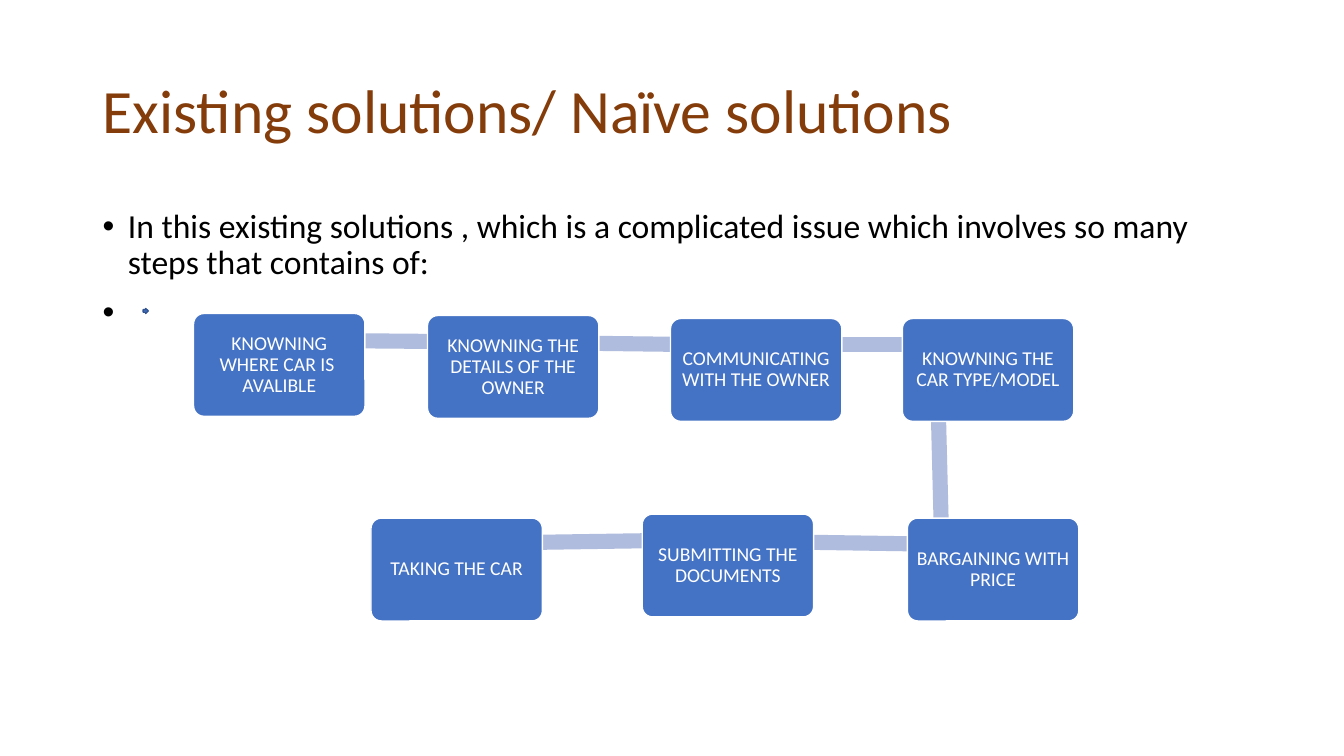
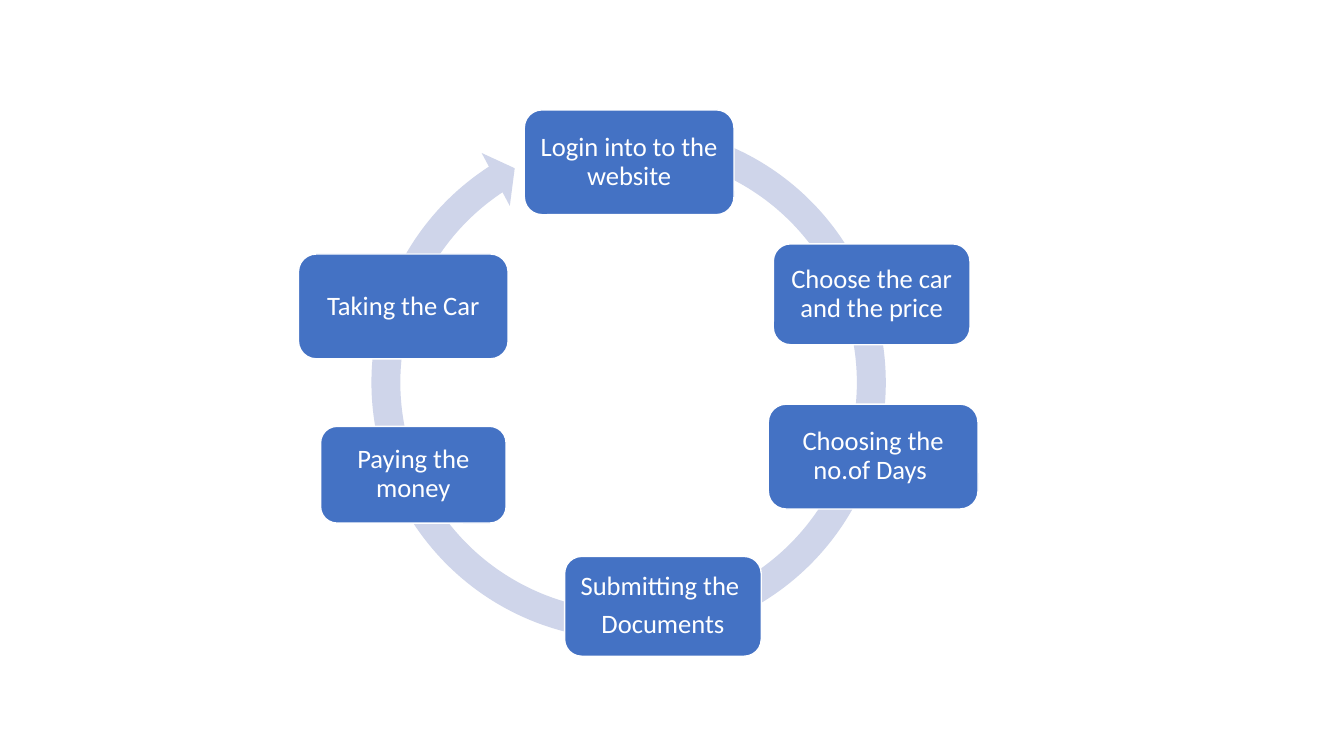
import lxml.etree
import pptx
import pptx.dml.color
import pptx.enum.shapes
import pptx.enum.text
import pptx.oxml.ns
import pptx.util

Inches = pptx.util.Inches
Pt = pptx.util.Pt
SHAPE = pptx.enum.shapes.MSO_SHAPE
ANCHOR = pptx.enum.text.MSO_ANCHOR
ALIGN = pptx.enum.text.PP_ALIGN

COLORS = {
    "title": "843C0B",
    "body": "000000",
    "step": "4472C4",
    "white": "FFFFFF",
    "link": "B0BCDE",
    "ring": "CFD5EA",
    "marker_line": "325491",
}
FONT = "Calibri"

TITLE_BOX = (0.92, 0.4, 11.5, 1.45)
BODY_BOX = (0.92, 2.03, 11.5, 4.76)
MARKER_BOX = (1.42, 3.06, 0.05, 0.05)
FLOW_BOX = (1.92, 3.11, 8.78, 3.05)
CYCLE_BOX = (2.96, 1.09, 6.74, 5.42)

BULLETS = [
    "In this existing solutions , which is a complicated issue which involves so many steps that contains of:",
    " ",
]
FLOW_STEP_SIZE = (1.7, 1.02)
FLOW_ANCHOR = (0.34, 0.26)
FLOW_STEPS = [
    ("KNOWNING WHERE CAR IS  AVALIBLE", 0, 0),
    ("KNOWNING THE DETAILS OF THE OWNER", 2.32, 0.02),
    ("COMMUNICATING WITH THE OWNER", 4.73, 0.05),
    ("KNOWNING THE CAR TYPE/MODEL", 7.03, 0.05),
    ("BARGAINING WITH PRICE", 7.08, 2.03),
    ("SUBMITTING THE DOCUMENTS", 4.45, 1.99),
    ("TAKING THE CAR", 1.76, 2.03),
]
RING_OFFSET = 0.57
RING_SIZE = 5.41
RING_ADJUSTMENTS = (0.053, 3.126, 142.085, 171.385, 0.055)
CYCLE_STEPS = [
    (["Login into to the website"], 2.24, 0, 2.08, 1.04),
    (["Choose the car and the price"], 4.71, 1.33, 1.95, 1),
    (["Choosing the no.of Days "], 4.66, 2.92, 2.08, 1.04),
    (["Submitting the ", "Documents"], 2.64, 4.43, 1.95, 0.99),
    (["Paying the money"], 0.22, 3.14, 1.84, 0.96),
    (["Taking the Car"], 0, 1.43, 2.08, 1.04),
]


def rgb(name):
    """Return the named colour."""
    return pptx.dml.color.RGBColor.from_string(COLORS[name])


def write_paragraphs(frame, lines, size, color):
    """Write one single-run paragraph per line and return the paragraphs."""
    frame.word_wrap = True
    paras = []
    for index, line in enumerate(lines):
        para = frame.add_paragraph() if index else frame.paragraphs[0]
        para.line_spacing = 0.9
        span = para.add_run()
        span.text = line
        span.font.name = FONT
        span.font.size = Pt(size)
        span.font.color.rgb = rgb(color)
        paras.append(para)
    return paras


def add_figure(page, kind, box, fill, line=None):
    """Add a flat preset shape with an optional one-point outline."""
    figure = page.shapes.add_shape(kind, *map(Inches, box))
    figure.shadow.inherit = False
    figure.fill.solid()
    figure.fill.fore_color.rgb = rgb(fill)
    if line:
        figure.line.color.rgb = rgb(line)
        figure.line.width = Pt(1)
    else:
        figure.line.fill.background()
    return figure


def add_step(page, box, lines, size, inset, corner):
    """Add a rounded step box with centred white text."""
    step = add_figure(page, SHAPE.ROUNDED_RECTANGLE, box, "step", "white")
    step.adjustments[0] = corner
    frame = step.text_frame
    frame.vertical_anchor = ANCHOR.MIDDLE
    frame.margin_left = frame.margin_right = Inches(inset)
    frame.margin_top = frame.margin_bottom = Inches(inset)
    for para in write_paragraphs(frame, lines, size, "white"):
        para.alignment = ALIGN.CENTER
        para.space_after = Pt(round(size * 0.35, 1))


def add_link(page, start, end):
    """Add a broad straight link between two points."""
    link = page.shapes.add_connector(
        pptx.enum.shapes.MSO_CONNECTOR.STRAIGHT, *map(Inches, start + end))
    link.line.color.rgb = rgb("link")
    link.line.width = Inches(0.15)
    lxml.etree.SubElement(link._element.spPr, pptx.oxml.ns.qn("a:effectLst"))


def add_title(page, box, text):
    """Add the slide title in its box."""
    frame = page.shapes.add_textbox(*map(Inches, box)).text_frame
    frame.vertical_anchor = ANCHOR.MIDDLE
    write_paragraphs(frame, [text], 44, "title")


def add_bullets(page, box, lines):
    """Add bulleted body text in its box."""
    frame = page.shapes.add_textbox(*map(Inches, box)).text_frame
    for para in write_paragraphs(frame, lines, 24, "body"):
        para.space_before = Pt(10)
        props = para._p.get_or_add_pPr()
        props.set("marL", str(Inches(0.25)))
        props.set("indent", str(Inches(-0.25)))
        font = lxml.etree.SubElement(props, pptx.oxml.ns.qn("a:buFont"))
        font.set("typeface", "Arial")
        bullet = lxml.etree.SubElement(props, pptx.oxml.ns.qn("a:buChar"))
        bullet.set("char", "•")


def add_flow(page, box, steps):
    """Add a winding chain of linked steps inside the box."""
    left, top = box[:2]
    corners = [(left + x, top + y) for _, x, y in steps]
    anchors = [(x + FLOW_ANCHOR[0], y + FLOW_ANCHOR[1]) for x, y in corners]
    for start, end in zip(anchors, anchors[1:]):
        add_link(page, start, end)
    for (text, _, _), corner in zip(steps, corners):
        add_step(page, corner + FLOW_STEP_SIZE, [text], 14, 0.06, 0.1)


def add_cycle(page, box, steps):
    """Add a circular arrow with steps around it inside the box."""
    left, top = box[:2]
    ring_box = (left + RING_OFFSET, top, RING_SIZE, RING_SIZE)
    ring = add_figure(page, SHAPE.CIRCULAR_ARROW, ring_box, "ring")
    for index, value in enumerate(RING_ADJUSTMENTS):
        ring.adjustments[index] = value
    for lines, x, y, width, height in steps:
        add_step(page, (left + x, top + y, width, height), lines, 19, 0.08, 0.17)


def build_existing_solutions(page):
    """Build the slide on existing solutions."""
    add_title(page, TITLE_BOX, "Existing solutions/ Naïve solutions")
    add_bullets(page, BODY_BOX, BULLETS)
    add_figure(page, SHAPE.RIGHT_ARROW, MARKER_BOX, "step", "marker_line")
    add_flow(page, FLOW_BOX, FLOW_STEPS)


def build_rental_cycle(page):
    """Build the slide on the rental cycle."""
    add_cycle(page, CYCLE_BOX, CYCLE_STEPS)


def main():
    """Build and save the deck."""
    deck = pptx.Presentation()
    deck.slide_width = Inches(13.33)
    deck.slide_height = Inches(7.5)
    for build in (build_existing_solutions, build_rental_cycle):
        build(deck.slides.add_slide(deck.slide_layouts[6]))
    deck.save("out.pptx")


if __name__ == "__main__":
    main()
